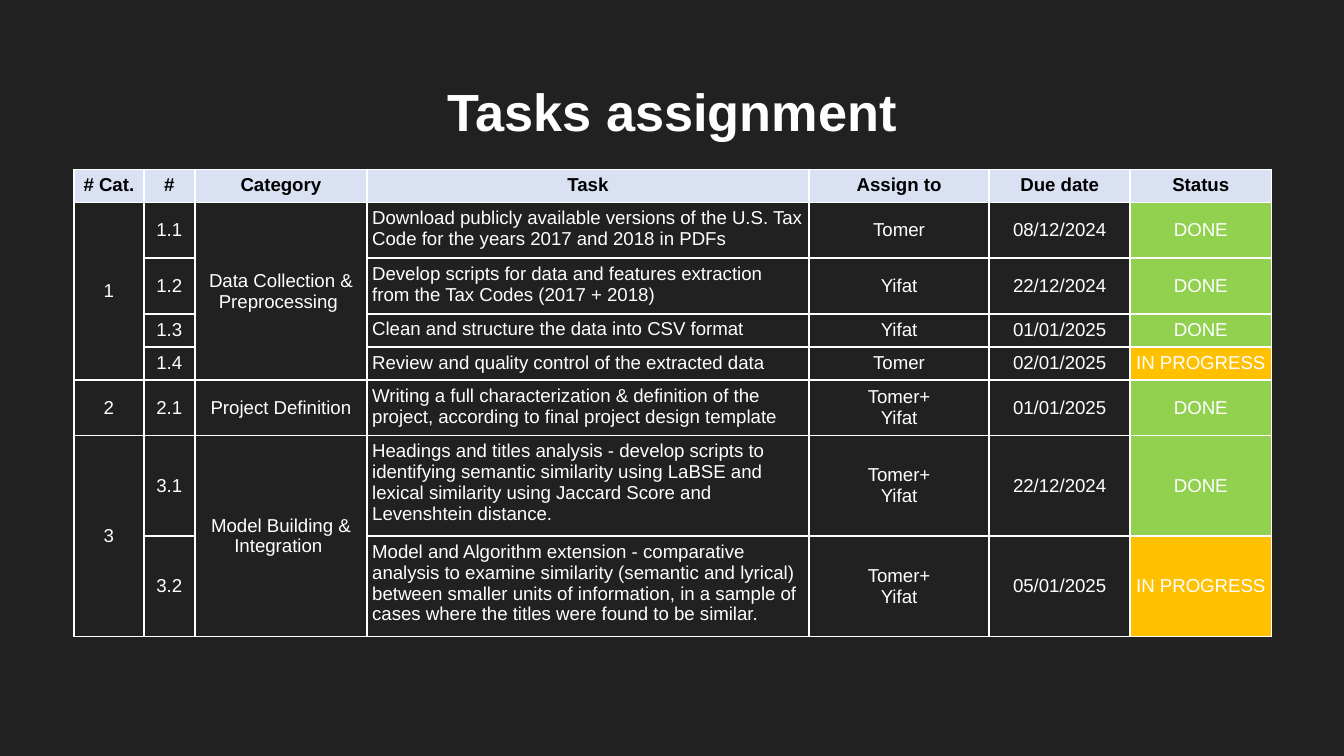
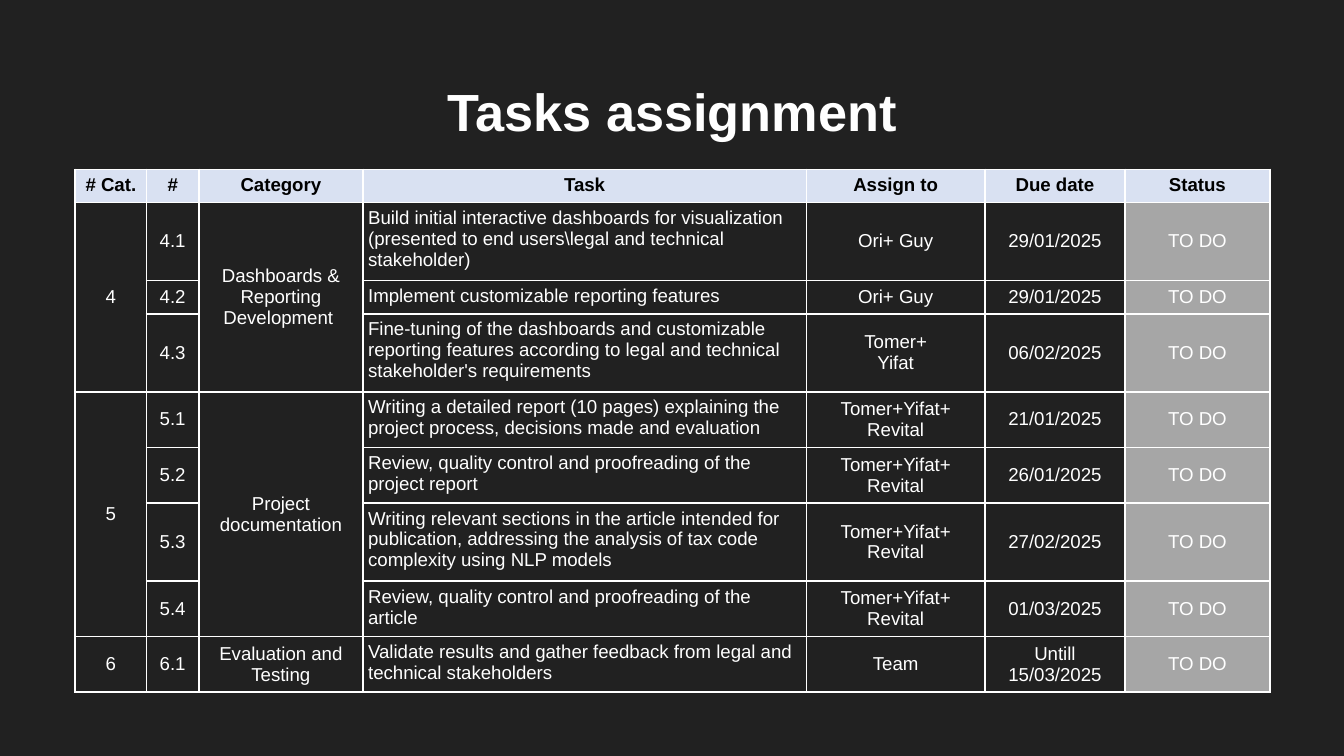
from dataclasses import dataclass

import pptx
import pptx.util
import pptx.dml.color
import pptx.enum.text
import pptx.oxml.ns
from lxml import etree

ALIGN = pptx.enum.text.PP_ALIGN
MID = pptx.enum.text.MSO_ANCHOR.MIDDLE
TOP = pptx.enum.text.MSO_ANCHOR.TOP
qn = pptx.oxml.ns.qn


@dataclass(frozen=True)
class Theme:
    font: str = "Arial"
    back: str = "212121"
    light: str = "FFFFFF"
    dark: str = "000000"
    head: str = "D9E1F2"
    title: int = 28
    body: int = 10
    rule: int = 1
    inset: float = 0.04
    pad: float = 0.1
    step: float = 0.07


THEME = Theme()
WIDE = pptx.util.Inches(10)
HIGH = WIDE * 9 // 16
TITLE = (3.4, 8.7, 93.2, 11.2)
HEADS = ["# Cat.", "#", "Category", "Task", "Assign to", "Due date", "Status"]
STATES = {"DONE": "92D050", "IN PROGRESS": "FFC000", "TO DO": "A6A6A6"}
PAIR = "Tomer+\nYifat"
TRIO = "Tomer+Yifat+\nRevital"

PAGES = [
    (
        (5.5, 22.4, 89, 61.5),
        [5.2, 3.8, 12.8, 32.9, 13.4, 10.5, 10.5],
        [0, 2, 2, 2, 2, 2, 3, 4],
        [
            ("1", "Data Collection & Preprocessing ", [
                ("Download publicly available versions of the U.S. Tax Code for the years 2017 and 2018 in PDFs",
                 "Tomer", "08/12/2024", "DONE"),
                ("Develop scripts for data and features extraction from the Tax Codes (2017 + 2018)",
                 "Yifat", "22/12/2024", "DONE"),
                ("Clean and structure the data into CSV format",
                 "Yifat", "01/01/2025", "DONE"),
                ("Review and quality control of the extracted data",
                 "Tomer", "02/01/2025", "IN PROGRESS"),
            ]),
            ("2", "Project Definition", [
                ("Writing a full characterization & definition of the project, "
                 "according to final project design template",
                 PAIR, "01/01/2025", "DONE"),
            ]),
            ("3", "Model Building & Integration ", [
                ("Headings and titles analysis - develop scripts to identifying semantic similarity "
                 "using LaBSE and lexical similarity using Jaccard Score and Levenshtein distance.",
                 PAIR, "22/12/2024", "DONE"),
                ("Model and Algorithm extension - comparative analysis to examine similarity "
                 "(semantic and lyrical) between smaller units of information, in a sample of cases "
                 "where the titles were found to be similar.",
                 PAIR, "05/01/2025", "IN PROGRESS"),
            ]),
        ],
    ),
    (
        (5.6, 22.4, 88.9, 69),
        [5.3, 3.9, 12.2, 33, 13.3, 10.4, 10.8],
        [0, 3, 3, 3, 2, 2, 3, 0, 2],
        [
            ("4", "Dashboards & Reporting Development ", [
                (r"Build initial interactive dashboards for visualization "
                 r"(presented to end users\legal and technical stakeholder)",
                 "Ori+ Guy", "29/01/2025", "TO DO"),
                ("Implement customizable reporting features",
                 "Ori+ Guy", "29/01/2025", "TO DO"),
                ("Fine-tuning of the dashboards and customizable reporting features "
                 "according to legal and technical stakeholder's requirements",
                 PAIR, "06/02/2025", "TO DO"),
            ]),
            ("5", "Project documentation", [
                ("Writing a detailed report (10 pages) explaining the project process, "
                 "decisions made and evaluation",
                 TRIO, "21/01/2025", "TO DO"),
                ("Review, quality control and proofreading of the project report",
                 TRIO, "26/01/2025", "TO DO"),
                ("Writing relevant sections in the article intended for publication, "
                 "addressing the analysis of tax code complexity using NLP models",
                 TRIO, "27/02/2025", "TO DO"),
                ("Review, quality control and proofreading of the article",
                 TRIO, "01/03/2025", "TO DO"),
            ]),
            ("6", "Evaluation and Testing", [
                ("Validate results and gather feedback from legal and technical stakeholders",
                 "Team", "Untill 15/03/2025", "TO DO"),
            ]),
        ],
    ),
]


def rgb(code):
    return pptx.dml.color.RGBColor.from_string(code)


def place(box):
    return [int(share * size / 100) for share, size in zip(box, (WIDE, HIGH) * 2)]


def write(frame, text, size, color, bold=False, align=ALIGN.CENTER):
    para = frame.paragraphs[0]
    para.text = text.replace("\n", "\v")
    para.alignment = align
    for run in para.runs:
        run.font.name = THEME.font
        run.font.size = pptx.util.Pt(size)
        run.font.bold = bold
        run.font.color.rgb = rgb(color)


def edge(cell):
    props = cell._tc.get_or_add_tcPr()
    for side in ("lnL", "lnR", "lnT", "lnB"):
        line = etree.SubElement(props, qn("a:" + side), w=str(pptx.util.Pt(THEME.rule)))
        fill = etree.SubElement(line, qn("a:solidFill"))
        etree.SubElement(fill, qn("a:srgbClr"), val=THEME.light)


def style(cell, fill=None, anchor=MID):
    gap = pptx.util.Inches(THEME.inset)
    cell.margin_left = cell.margin_right = gap
    cell.margin_top = cell.margin_bottom = gap
    cell.vertical_anchor = anchor
    edge(cell)
    if fill:
        cell.fill.solid()
        cell.fill.fore_color.rgb = rgb(fill)
    else:
        cell.fill.background()


def add_title(slide, box, text):
    frame = slide.shapes.add_textbox(*place(box)).text_frame
    frame.word_wrap = True
    pad = pptx.util.Inches(THEME.pad)
    frame.margin_left = frame.margin_right = pad
    frame.margin_top = frame.margin_bottom = pad
    write(frame, text, THEME.title, THEME.light, True)


def add_tasks(slide, box, cols, rows, groups):
    shape = slide.shapes.add_table(len(rows), len(cols), *place(box))
    grid = shape.table
    grid.first_row = grid.horz_banding = False
    for col, share in zip(grid.columns, cols):
        col.width = int(share * WIDE / 100)
    for row, steps in zip(grid.rows, rows):
        row.height = pptx.util.Inches(steps * THEME.step)
    shape.height = place(box)[3]

    for col, text in enumerate(HEADS):
        cell = grid.cell(0, col)
        style(cell, THEME.head, TOP)
        write(cell.text_frame, text, THEME.body, THEME.dark, True)

    row = 1
    for key, name, tasks in groups:
        first = row
        for step, (task, who, due, state) in enumerate(tasks, 1):
            texts = ["", f"{key}.{step}", "", task, who, due, state]
            if row == first:
                texts[0], texts[2] = key, name
            for col, text in enumerate(texts):
                cell = grid.cell(row, col)
                job = HEADS[col] == "Task"
                style(cell, STATES.get(text), TOP if job else MID)
                write(cell.text_frame, text, THEME.body, THEME.light,
                      align=ALIGN.LEFT if job else ALIGN.CENTER)
            row += 1
        if len(tasks) > 1:
            for col in (0, 2):
                grid.cell(first, col).merge(grid.cell(row - 1, col))


def main():
    deck = pptx.Presentation()
    deck.slide_width, deck.slide_height = WIDE, HIGH
    for box, cols, rows, groups in PAGES:
        slide = deck.slides.add_slide(deck.slide_layouts[6])
        slide.background.fill.solid()
        slide.background.fill.fore_color.rgb = rgb(THEME.back)
        add_title(slide, TITLE, "Tasks assignment")
        add_tasks(slide, box, cols, rows, groups)
    deck.save("out.pptx")


if __name__ == "__main__":
    main()
